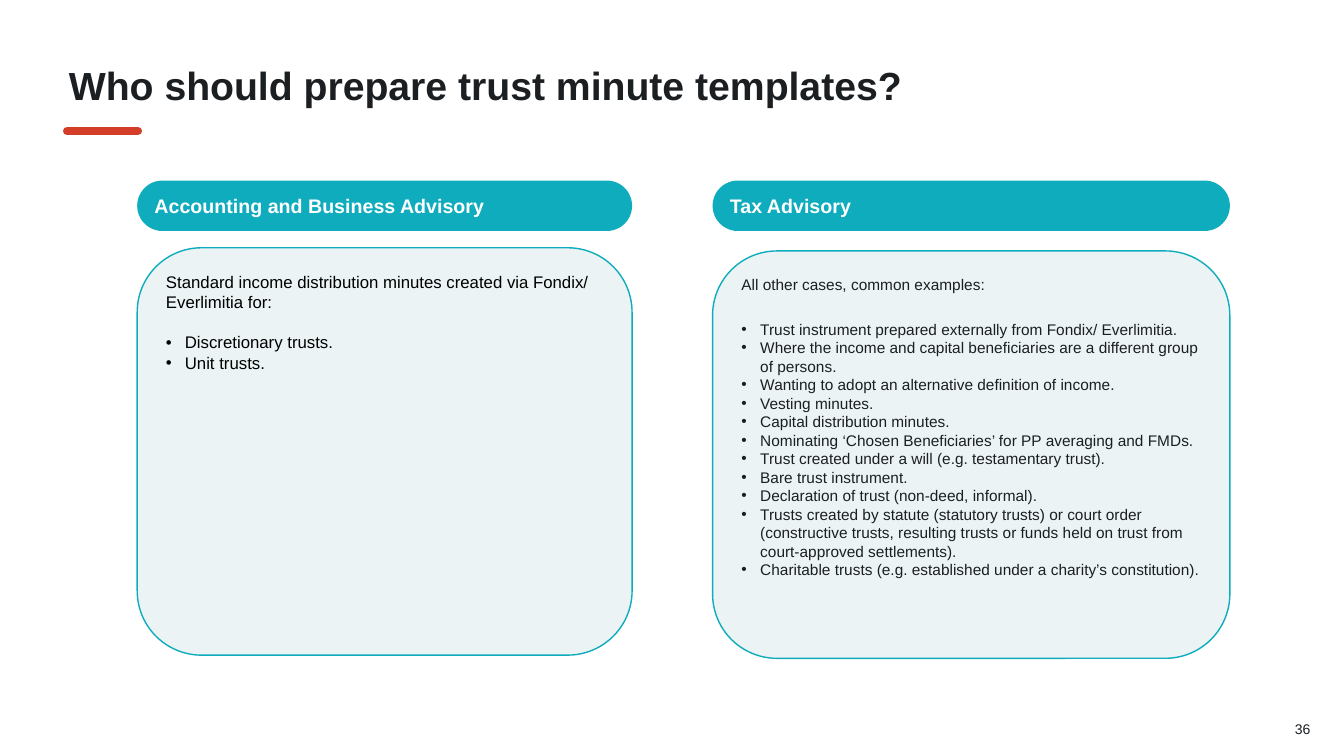
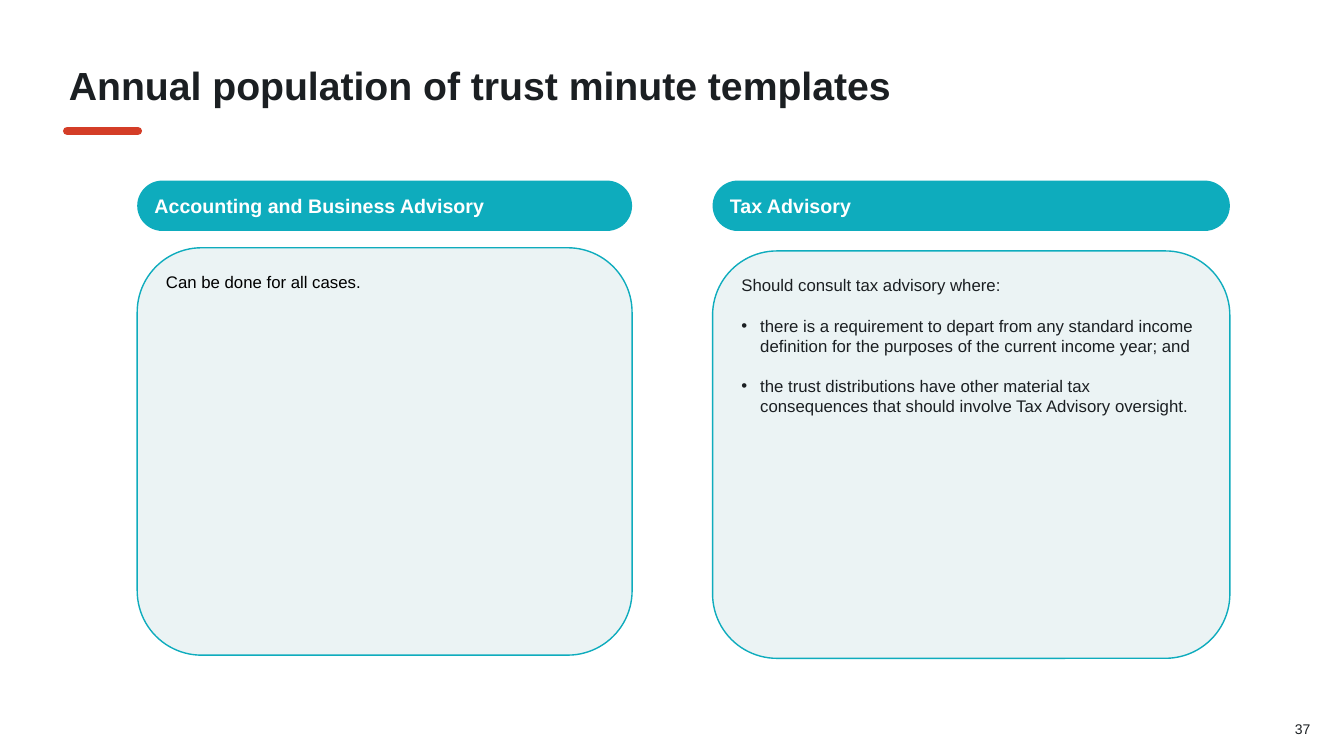
from lxml import etree
from pptx import Presentation
from pptx.dml.color import RGBColor
from pptx.enum.shapes import MSO_CONNECTOR, MSO_SHAPE
from pptx.enum.text import MSO_ANCHOR, MSO_AUTO_SIZE, PP_ALIGN
from pptx.oxml.ns import qn
from pptx.util import Pt

FONT = "Arial"
INK = RGBColor(0x1B, 0x1F, 0x22)
BLACK = RGBColor(0, 0, 0)
WHITE = RGBColor(0xFF, 0xFF, 0xFF)
TEAL = RGBColor(0x0E, 0xAC, 0xBD)
PALE = RGBColor(0xEB, 0xF3, 0xF4)
RED = RGBColor(0xD4, 0x3D, 0x27)

HEADER_TOP, HEADER_HEIGHT = 129, 36
PANEL_HEIGHT = 291
BULLET_INDENT = 13.5

# heading, left, width, panel top, text colour
COLUMNS = [
    ("Accounting and Business Advisory", 98, 353.5, 177, BLACK),
    ("Tax Advisory", 509, 369.5, 179.25, INK),
]

# title, page number, then per column: size, intro, bullets, first gap, later gaps
SLIDES = [
    ("Who should prepare trust minute templates?", 36, [
        (12, "Standard income distribution minutes created via Fondix/ Everlimitia for:",
         ["Discretionary trusts.", "Unit trusts."], 14.5, 0),
        (11, "All other cases, common examples:", [
            "Trust instrument prepared externally from Fondix/ Everlimitia.",
            "Where the income and capital beneficiaries are a different group of persons.",
            "Wanting to adopt an alternative definition of income.",
            "Vesting minutes.",
            "Capital distribution minutes.",
            "Nominating ‘Chosen Beneficiaries’ for PP averaging and FMDs.",
            "Trust created under a will (e.g. testamentary trust).",
            "Bare trust instrument.",
            "Declaration of trust (non-deed, informal).",
            "Trusts created by statute (statutory trusts) or court order (constructive "
            "trusts, resulting trusts or funds held on trust from court-approved "
            "settlements).",
            "Charitable trusts (e.g. established under a charity’s constitution).",
        ], 19, 0),
    ]),
    ("Annual population of trust minute templates", 37, [
        (12, "Can be done for all cases.", [], 0, 0),
        (12, "Should consult tax advisory where:", [
            "there is a requirement to depart from any standard income definition for "
            "the purposes of the current income year; and",
            "the trust distributions have other material tax consequences that should "
            "involve Tax Advisory oversight.",
        ], 14.5, 14.5),
    ]),
]


def add_run(p, text, size, color, bold=False):
    r = p.add_run()
    r.text = text
    r.font.name = FONT
    r.font.size = Pt(size)
    r.font.bold = bold
    r.font.color.rgb = color


def set_bullet(p):
    pPr = p._p.get_or_add_pPr()
    pPr.set("marL", str(Pt(BULLET_INDENT)))
    pPr.set("indent", str(-Pt(BULLET_INDENT)))
    etree.SubElement(pPr, qn("a:buFont")).set("typeface", FONT)
    etree.SubElement(pPr, qn("a:buChar")).set("char", "•")


def add_title(s, text):
    sp = s.shapes.title
    sp.left, sp.top, sp.width, sp.height = Pt(42), Pt(44), Pt(868), Pt(50)
    tf = sp.text_frame
    tf.word_wrap = True
    tf.auto_size = MSO_AUTO_SIZE.NONE
    tf.vertical_anchor = MSO_ANCHOR.TOP
    p = tf.paragraphs[0]
    p.alignment = PP_ALIGN.LEFT
    p.line_spacing = 0.9
    add_run(p, text, 28, INK, bold=True)


def add_title_rule(s):
    rule = s.shapes.add_connector(MSO_CONNECTOR.STRAIGHT,
                                  Pt(48), Pt(93.5), Pt(98.5), Pt(93.5))
    rule.line.color.rgb = RED
    rule.line.width = Pt(6)
    rule.line._get_or_add_ln().set("cap", "rnd")
    etree.SubElement(rule._element.spPr, qn("a:effectLst"))


def add_page_number(s, number):
    box = s.shapes.add_textbox(Pt(781), Pt(511), Pt(162), Pt(29))
    tf = box.text_frame
    tf.word_wrap = True
    p = tf.paragraphs[0]
    p.alignment = PP_ALIGN.RIGHT
    add_run(p, str(number), 10, INK)


def add_round_box(s, left, top, width, height, radius, fill, anchor):
    sp = s.shapes.add_shape(MSO_SHAPE.ROUNDED_RECTANGLE,
                            Pt(left), Pt(top), Pt(width), Pt(height))
    sp.adjustments[0] = radius
    sp.shadow.inherit = False
    sp.fill.solid()
    sp.fill.fore_color.rgb = fill
    tf = sp.text_frame
    tf.word_wrap = True
    tf.vertical_anchor = anchor
    tf.paragraphs[0].alignment = PP_ALIGN.LEFT
    return sp


def add_header(s, text, left, width):
    sp = add_round_box(s, left, HEADER_TOP, width, HEADER_HEIGHT, 0.5, TEAL,
                       MSO_ANCHOR.MIDDLE)
    sp.line.fill.background()
    add_run(sp.text_frame.paragraphs[0], text, 14, WHITE, bold=True)


def add_panel(s, left, top, width, color, content):
    size, intro, bullets, first_gap, later_gap = content
    sp = add_round_box(s, left, top, width, PANEL_HEIGHT, 0.158, PALE,
                       MSO_ANCHOR.TOP)
    sp.line.color.rgb = TEAL
    sp.line.width = Pt(1)
    tf = sp.text_frame
    add_run(tf.paragraphs[0], intro, size, color)
    for i, text in enumerate(bullets):
        p = tf.add_paragraph()
        p.alignment = PP_ALIGN.LEFT
        p.space_before = Pt(later_gap if i else first_gap)
        set_bullet(p)
        add_run(p, text, size, color)


def add_slide(prs, title, number, contents):
    s = prs.slides.add_slide(prs.slide_layouts[5])
    add_title(s, title)
    add_title_rule(s)
    add_page_number(s, number)
    for (heading, left, width, top, color), content in zip(COLUMNS, contents):
        add_header(s, heading, left, width)
        add_panel(s, left, top, width, color, content)


def main():
    prs = Presentation()
    prs.slide_width, prs.slide_height = Pt(960), Pt(540)
    for title, number, contents in SLIDES:
        add_slide(prs, title, number, contents)
    prs.save("out.pptx")


if __name__ == "__main__":
    main()
